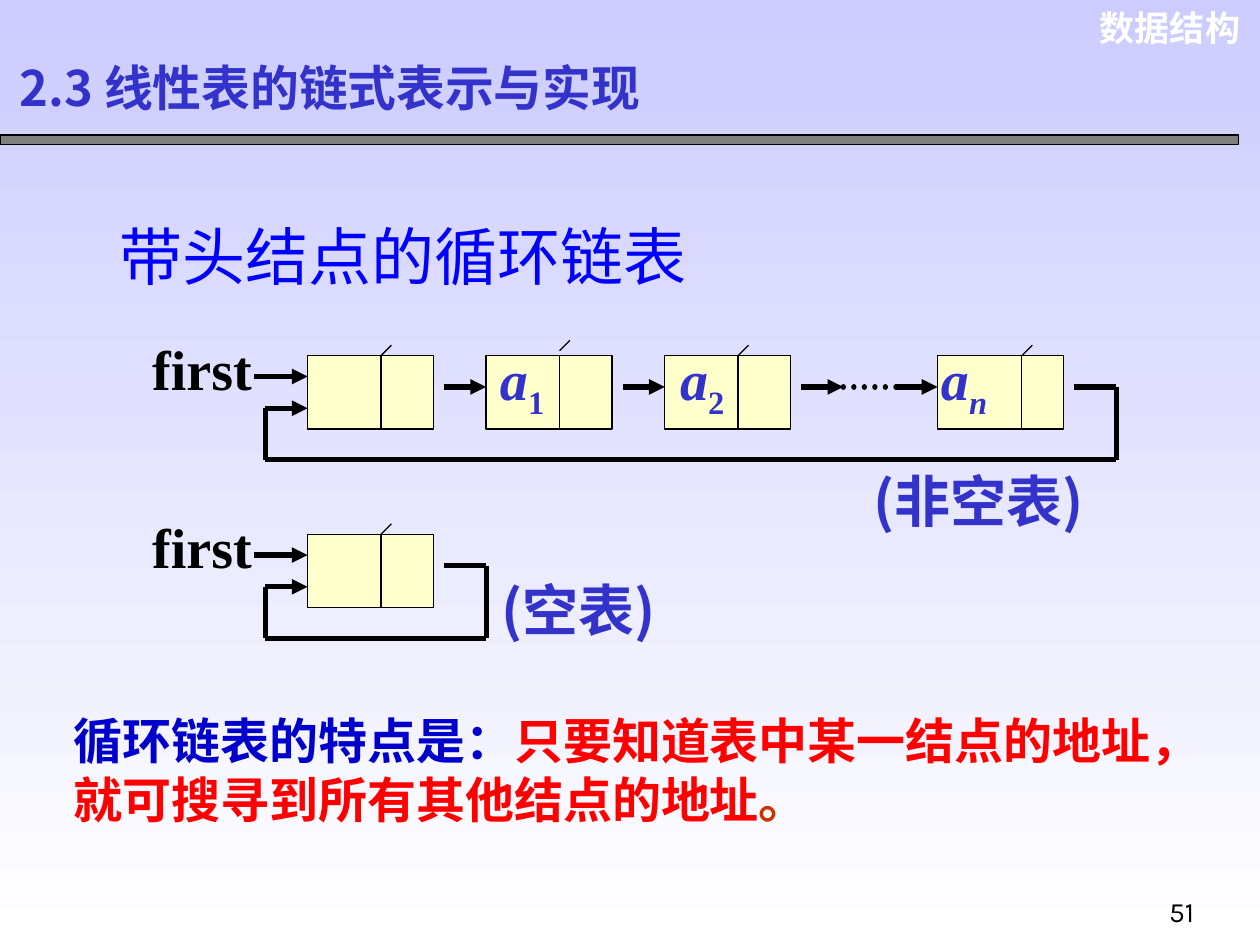
"""Build the slide on circular linked lists with a head node."""
from lxml import etree
from pptx import Presentation
from pptx.dml.color import RGBColor
from pptx.enum.dml import MSO_LINE
from pptx.enum.shapes import MSO_CONNECTOR, MSO_SHAPE
from pptx.enum.text import MSO_ANCHOR, MSO_AUTO_SIZE, PP_ALIGN
from pptx.oxml.ns import qn
from pptx.util import Cm, Pt

RECTANGLE = MSO_SHAPE.RECTANGLE
STRAIGHT = MSO_CONNECTOR.STRAIGHT
DOTTED = MSO_LINE.ROUND_DOT
MIDDLE = MSO_ANCHOR.MIDDLE
FIT, FIXED = MSO_AUTO_SIZE.SHAPE_TO_FIT_TEXT, MSO_AUTO_SIZE.NONE
LEFT, RIGHT = PP_ALIGN.LEFT, PP_ALIGN.RIGHT
SERIF, SANS = "Times New Roman", "Noto Sans CJK SC"
COLOURS = {
    "top": "CCCCFF", "white": "FFFFFF", "black": "000000", "bar": "808080",
    "node": "FFFFCC", "label": "3333CC", "heading": "0000FF",
    "lead": "0000CC", "key": "FF0000", "stop": "CC3300",
}
COLOURS = {name: RGBColor.from_string(value) for name, value in COLOURS.items()}

deck = Presentation()
deck.slide_width, deck.slide_height = Cm(25.4), Cm(19.05)
page = deck.slides.add_slide(deck.slide_layouts[6])
backdrop = page.background.fill
backdrop.gradient()
backdrop.gradient_angle = 270
for stop, name in zip(backdrop.gradient_stops, ("top", "white")):
    stop.color.rgb = COLOURS[name]


def add_line(x1, y1, x2, y2, width=3, arrow=False, dotted=False):
    line = page.shapes.add_connector(STRAIGHT, Cm(x1), Cm(y1), Cm(x2), Cm(y2))
    line.line.color.rgb = COLOURS["black"]
    line.line.width = Pt(width)
    properties = line._element.spPr
    outline = properties.find(qn("a:ln"))
    if dotted:
        line.line.dash_style = DOTTED
        outline.set("cap", "rnd")
    if arrow:
        etree.SubElement(outline, qn("a:tailEnd"), type="triangle")
    etree.SubElement(properties, qn("a:effectLst"))


def add_text(place, lines, size, font, colour, bold=True, wrap=False, align=LEFT):
    box = page.shapes.add_textbox(*(Cm(length) for length in place))
    frame = box.text_frame
    frame.word_wrap = wrap
    frame.auto_size = FIT
    for index, pieces in enumerate(lines):
        para = frame.add_paragraph() if index else frame.paragraphs[0]
        para.alignment = align
        para.font.size, para.font.name, para.font.bold = Pt(size), font, bold
        para.font.color.rgb = COLOURS[colour]
        etree.SubElement(para.font._element, qn("a:ea"), typeface=SANS)
        for text, tint in pieces:
            span = para.add_run()
            span.text = text
            if tint != colour:
                span.font.color.rgb = COLOURS[tint]
    return frame


add_text((21.77, 0, 3.48, 1.12), [[("数据结构", "white")]], 20, "Arial", "white",
         wrap=True, align=RIGHT)
heading = add_text((2.16, 4.19, 21.59, 8.25), [[("带头结点的循环链表", "heading")]],
                   36, SERIF, "heading", bold=False, wrap=True)
heading.auto_size = FIXED
heading.paragraphs[0].line_spacing = 1.05

FULL_Y, EMPTY_Y = 7.17, 10.77
NODE_WIDTH, NODE_HEIGHT, PITCH = 2.54, 1.48, 3.6
HEAD_X, LAST_X, LOOP_X = 6.2, 18.9, 5.35
LINK_DY, LOOP_DY = 0.63, 2.1
GAP, LINK = 2.75, 0.85

nodes = [
    (HEAD_X, FULL_Y, 1.48, 0),
    (HEAD_X + PITCH, FULL_Y, 1.48, 0.1),
    (HEAD_X + 2 * PITCH, FULL_Y, 1.48, 0),
    (LAST_X, FULL_Y, 1.7, 0),
    (HEAD_X, EMPTY_Y, 1.48, 0),
]
rectangles = [("bar", 0, 2.72, 24.97, 0.2)]
rectangles += [("node", x, y, NODE_WIDTH, NODE_HEIGHT) for x, y, _, _ in nodes]
for fill, *place in rectangles:
    rectangle = page.shapes.add_shape(RECTANGLE, *(Cm(length) for length in place))
    rectangle.shadow.inherit = False
    rectangle.fill.solid()
    rectangle.fill.fore_color.rgb = COLOURS[fill]
    rectangle.line.color.rgb = COLOURS["black"]
    rectangle.line.width = Pt(0.75)

for x, y, split, lift in nodes:
    add_line(x + split, y, x + split, y + NODE_HEIGHT, 0.75)
    add_line(x + split, y - lift, x + split + 0.21, y - lift - 0.21, 0.75)

link_y = FULL_Y + LINK_DY
for step in range(3):
    start = HEAD_X + step * PITCH + GAP
    add_line(start, link_y, start + LINK, link_y, arrow=True)
add_line(17, link_y, 18.26, link_y, dotted=True)
add_line(LAST_X - LINK, link_y, LAST_X, link_y, arrow=True)

for y, last_x in ((FULL_Y, LAST_X), (EMPTY_Y, HEAD_X)):
    end_x, bottom, back_y = last_x + PITCH, y + LOOP_DY, y + 1.06
    add_line(5.13, y + 0.42, HEAD_X, y + 0.42, arrow=True)
    add_line(last_x + GAP, y + LINK_DY, end_x, y + LINK_DY)
    add_line(end_x, y + LINK_DY, end_x, bottom)
    add_line(LOOP_X, bottom, end_x, bottom)
    add_line(LOOP_X, back_y, LOOP_X, bottom)
    add_line(LOOP_X, back_y, HEAD_X, back_y, arrow=True)
    add_text((2.82, y - 0.56, 2.51, 1.63), [[("first", "black")]], 32, SERIF, "black")

for x, index in ((9.83, "1"), (13.46, "2"), (18.72, "n")):
    label = add_text((x, 6.83, 2.08, 1.8), [[("a", "label"), (index, "label")]],
                     32, SERIF, "label", wrap=True)
    letter, subscript = label.paragraphs[0].runs
    letter.font.italic = True
    subscript.font.italic = index == "n"
    subscript.font._element.set("baseline", "-25000")

for x, y, width, text in ((9.86, 11.48, 4.67, "(空表)"), (17.35, 9.27, 5.79, "(非空表)")):
    add_text((x, y, width, 1.63), [[(text, "label")]], 32, SANS, "label")

title = add_text((0.15, 1.12, 21.59, 1.47), [[("2.3 线性表的链式表示与实现", "label")]],
                 27.9, SANS, "label", wrap=True)
title.auto_size = FIXED
title.vertical_anchor = MIDDLE
title.paragraphs[0].line_spacing = 0.8

add_text((23.32, 17.91, 3.2, 1.07), [[("51", "black")]], 16, "Karla", "black", bold=False)
add_text((1.24, 14.2, 23.19, 2.64), [
    [("循环链表的特点是：", "lead"), ("只要知道表中某一结点的地址，", "key")],
    [("就可搜寻到所有其他结点的地址", "key"), ("。", "stop")],
], 28, SERIF, "lead")

deck.save("out.pptx")
